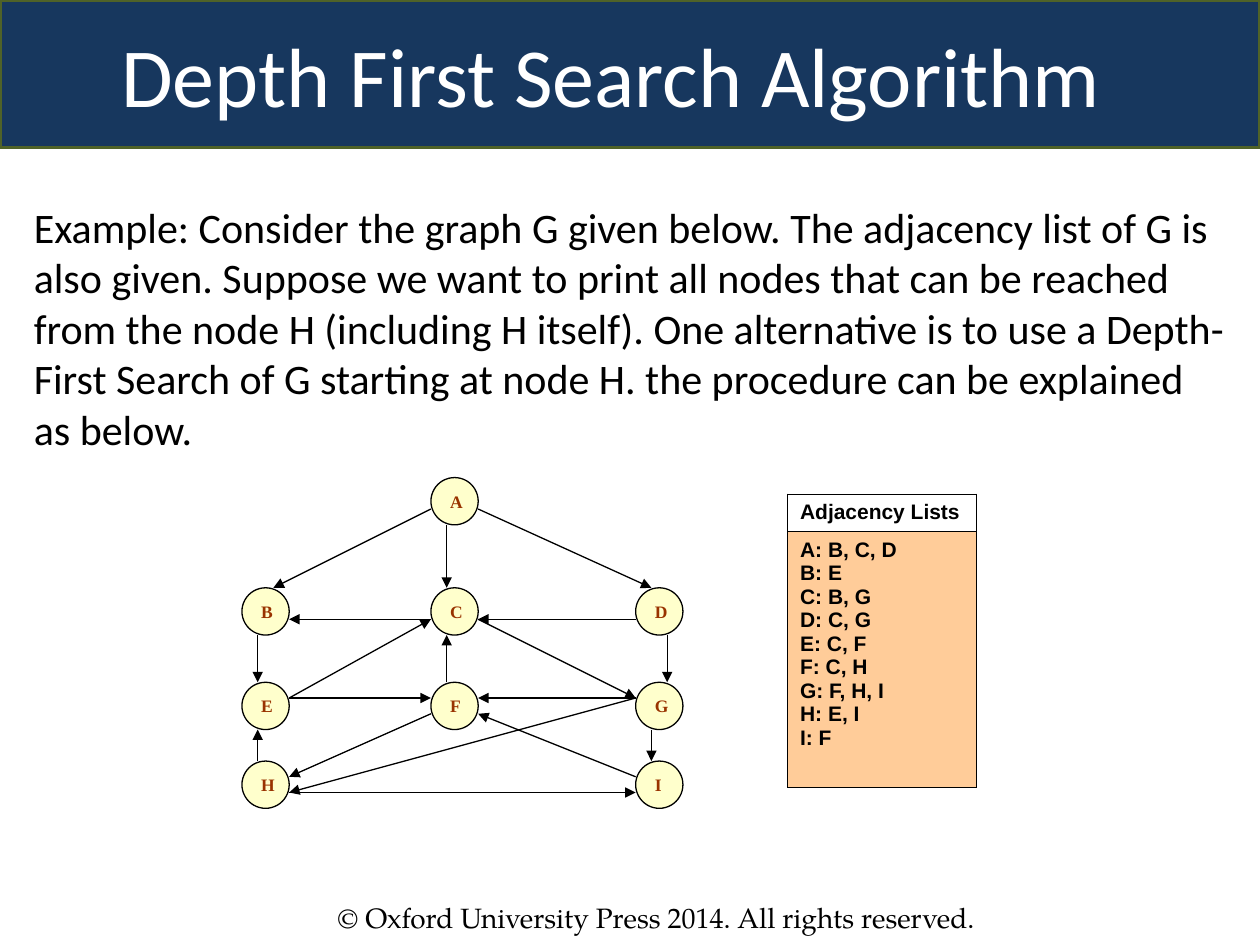
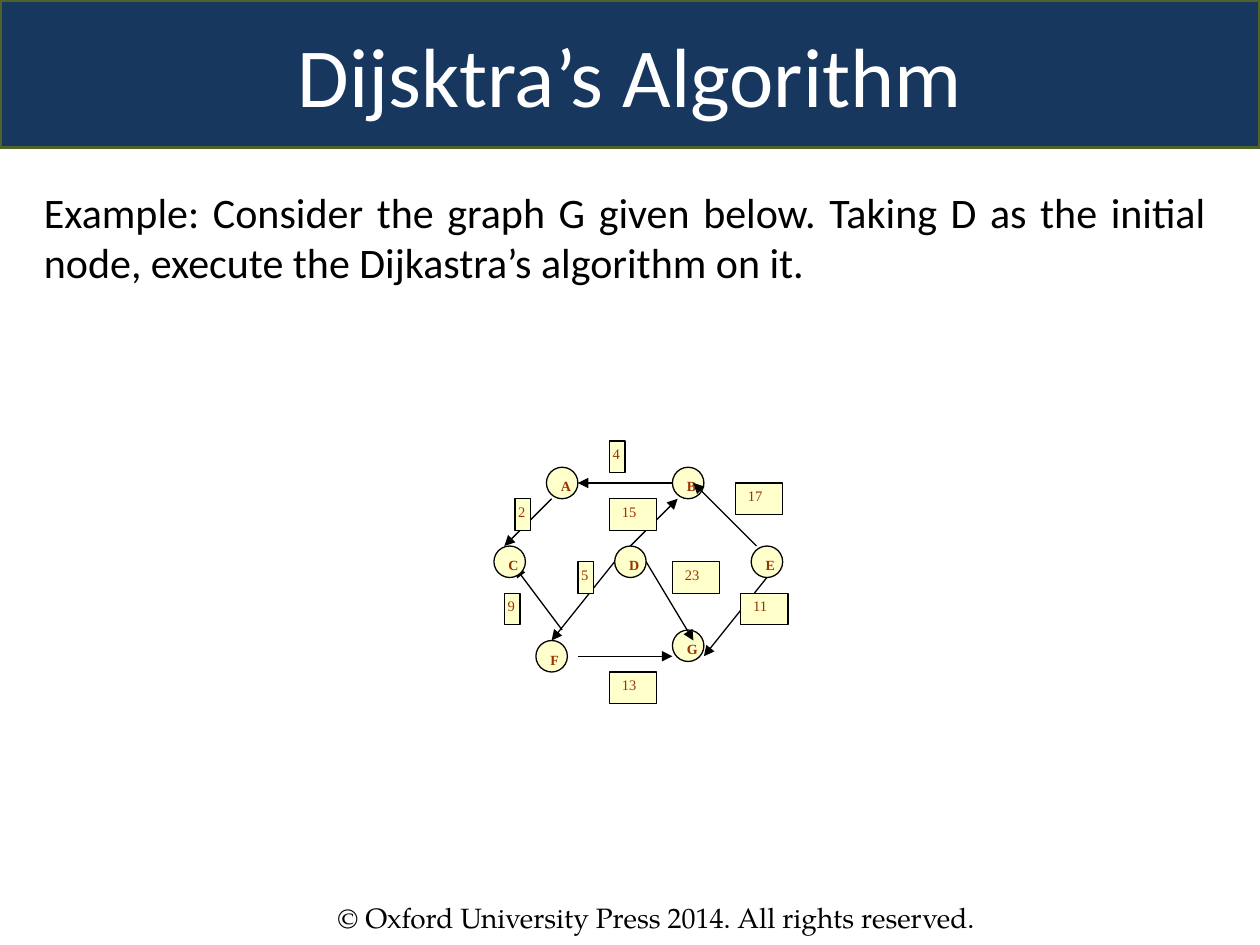
from collections import namedtuple

from lxml import etree
from pptx import Presentation
from pptx.dml.color import RGBColor
from pptx.enum.shapes import MSO_CONNECTOR, MSO_SHAPE
from pptx.enum.text import MSO_ANCHOR, MSO_AUTO_SIZE, PP_ALIGN
from pptx.oxml.ns import qn
from pptx.util import Inches, Pt

OVAL, RECT = MSO_SHAPE.OVAL, MSO_SHAPE.RECTANGLE
STRAIGHT = MSO_CONNECTOR.STRAIGHT
TOP, MIDDLE = MSO_ANCHOR.TOP, MSO_ANCHOR.MIDDLE
LEFT, CENTER, JUSTIFY = PP_ALIGN.LEFT, PP_ALIGN.CENTER, PP_ALIGN.JUSTIFY
NO_AUTOFIT = MSO_AUTO_SIZE.NONE

WIDTH, HEIGHT = 10, 7.5
TITLE_ONLY = 5
NAVY, OLIVE, WHITE, BLACK = "17375E", "4F6228", "FFFFFF", "000000"
CREAM, BROWN, PEACH = "FFFFCC", "993300", "FFCC99"
SANS, SERIF, TABLE_FONT, FOOTER_FONT = (
    "Calibri", "Times New Roman", "Arial", "TeX Gyre Pagella")
FOOTER = "© Oxford University Press 2014. All rights reserved."

Grid = namedtuple("Grid", "left top step")

DFS_GRID = Grid(1.92, 3.79, 1 / 8)
DFS_NODES = {
    "A": (12, 0), "B": (0, 7), "C": (12, 7), "D": (25, 7), "E": (0, 13),
    "F": (12, 13), "G": (25, 13), "H": (0, 18), "I": (25, 18),
}
DFS_EDGES = [
    (12, 2, 2, 7), (13, 3, 13, 7), (15, 2, 26, 7),
    (1, 10, 1, 13), (12, 9, 3, 9), (13, 13, 13, 10),
    (27, 10, 27, 13), (3, 14, 12, 9), (15, 9, 25, 14),
    (3, 14, 12, 14), (25, 14, 15, 14), (3, 20, 25, 20),
    (1, 18, 1, 16), (26, 16, 26, 18), (25, 14, 3, 20),
    (25, 19, 15, 15), (12, 15, 3, 19), (25, 9, 15, 9),
]
ADJACENCY = [
    "A: B, C, D", "B: E", "C: B, G", "D: C, G", "E: C, F",
    "F: C, H", "G: F, H, I", "H: E, I", "I: F",
]

PATH_GRID = Grid(3.92, 3.5, 1 / 24)
PATH_NODES = {
    "A": (10, 5), "B": (34, 5), "D": (23, 20), "E": (49, 20),
    "F": (8, 38), "G": (34, 36),
}
FRONT_NODES = {"C": (0, 20)}
PATH_EDGES = [
    (16, 41, 34, 41), (52, 26, 40, 41), (50, 20, 38, 8),
    (34, 8, 16, 8), (11, 11, 2, 20), (13, 36, 4, 24),
    (23, 23, 11, 38), (26, 20, 35, 11), (29, 23, 38, 38),
]
WEIGHTS = {
    "4": (22, 0), "2": (4, 11), "9": (2, 29), "15": (22, 11), "5": (16, 23),
    "17": (46, 8), "23": (34, 23), "11": (47, 29), "13": (22, 44),
}


def rgb(color):
    """Turn a hex string into a colour."""
    return RGBColor.from_string(color)


def write(tf, text, font, size, color, bold=False, align=LEFT, anchor=TOP,
          spacing=None):
    """Fill a text frame and format all its runs."""
    tf.text = text
    tf.word_wrap = True
    tf.vertical_anchor = anchor
    for p in tf.paragraphs:
        p.alignment = align
        p.line_spacing = spacing
        for r in p.runs:
            r.font.name, r.font.size, r.font.bold = font, Pt(size), bold
            r.font.color.rgb = rgb(color)


def paint(sp, fill, line, weight):
    """Set the fill and the outline of a shape."""
    sp.fill.solid()
    sp.fill.fore_color.rgb = rgb(fill)
    sp.line.color.rgb = rgb(line)
    sp.line.width = Pt(weight)


def add_text(s, left, top, width, height, text, font, size, **style):
    """Add a text box in black."""
    box = s.shapes.add_textbox(*map(Inches, (left, top, width, height)))
    write(box.text_frame, text, font, size, BLACK, **style)


def add_slide(prs, title, right_inset=0.1):
    """Add a slide with the title band and the footer."""
    s = prs.slides.add_slide(prs.slide_layouts[TITLE_ONLY])
    sp = s.shapes.title
    sp.left, sp.top = 0, 0
    sp.width, sp.height = Inches(WIDTH), Inches(1.17)
    paint(sp, NAVY, OLIVE, 2)
    tf = sp.text_frame
    tf.auto_size = NO_AUTOFIT
    tf.margin_right = Inches(right_inset)
    write(tf, title, SANS, 48, WHITE, align=CENTER, anchor=MIDDLE)
    add_text(s, 2.58, 7.1, 5.92, 0.37, FOOTER, FOOTER_FONT, 16)
    return s


def place(grid, col, row):
    """Turn a grid point into a position on the slide."""
    return (Inches(grid.left + col * grid.step),
            Inches(grid.top + row * grid.step))


def add_label(s, grid, kind, at, cols, rows, text, size, **style):
    """Add a cream shape with a short brown text."""
    sp = s.shapes.add_shape(kind, *place(grid, *at),
                            Inches(cols * grid.step), Inches(rows * grid.step))
    sp.shadow.inherit = False
    paint(sp, CREAM, BLACK, 0.75)
    write(sp.text_frame, text, SERIF, size, BROWN, **style)


def add_nodes(s, grid, nodes, span, size):
    """Add the round nodes of a graph."""
    for name, at in nodes.items():
        add_label(s, grid, OVAL, at, span, span, name, size, bold=True)


def add_edges(s, grid, edges):
    """Add the arrows of a graph."""
    for x1, y1, x2, y2 in edges:
        c = s.shapes.add_connector(
            STRAIGHT, *place(grid, x1, y1), *place(grid, x2, y2))
        c.line.color.rgb = rgb(BLACK)
        c.line.width = Pt(0.75)
        props = c._element.spPr
        etree.SubElement(props.find(qn("a:ln")), qn("a:tailEnd"),
                         type="triangle")
        etree.SubElement(props, qn("a:effectLst"))


def add_borders(cell):
    """Draw a thin black line on each side of a cell."""
    props = cell._tc.get_or_add_tcPr()
    for side in "LRTB":
        ln = etree.SubElement(props, qn(f"a:ln{side}"), w=str(Pt(0.45)))
        fill = etree.SubElement(ln, qn("a:solidFill"))
        etree.SubElement(fill, qn("a:srgbClr"), val=BLACK)


def add_adjacency_table(s):
    """Add the adjacency lists under their heading."""
    heights = (0.3, 2.03)
    table = s.shapes.add_table(2, 1, Inches(6.25), Inches(3.92),
                               Inches(1.5), Inches(sum(heights))).table
    table.first_row = table.horz_banding = False
    for i, text in enumerate(("Adjacency Lists", "\n".join(ADJACENCY))):
        table.rows[i].height = Inches(heights[i])
        cell = table.cell(i, 0)
        add_borders(cell)
        write(cell.text_frame, text, TABLE_FONT, 12, BLACK, bold=True)
    table.cell(0, 0).fill.background()
    body = table.cell(1, 0).fill
    body.solid()
    body.fore_color.rgb = rgb(PEACH)


def build_depth_first(prs):
    """Build the slide on depth-first search."""
    s = add_slide(prs, "Depth First Search Algorithm", right_inset=0.4)
    add_text(s, 0.17, 1.55, 9.67, 2.1,
             "Example: Consider the graph G given below. The adjacency list "
             "of G is also given. Suppose we want to print all nodes that can "
             "be reached from the node H (including H itself). One "
             "alternative is to use a Depth- First Search of G starting at "
             "node H. the procedure can be explained as below.", SANS, 24)
    add_nodes(s, DFS_GRID, DFS_NODES, 3, 10)
    add_edges(s, DFS_GRID, DFS_EDGES)
    add_adjacency_table(s)


def build_shortest_path(prs):
    """Build the slide on the weighted graph."""
    s = add_slide(prs, "Dijsktra’s Algorithm")
    add_text(s, 0.25, 1.43, 9.42, 0.9,
             "Example: Consider the graph G given below. Taking D as the "
             "initial node, execute the Dijkastra’s algorithm on it.",
             SANS, 24, align=JUSTIFY, anchor=MIDDLE)
    add_nodes(s, PATH_GRID, PATH_NODES, 6, 8)
    add_edges(s, PATH_GRID, PATH_EDGES)
    for weight, at in WEIGHTS.items():
        cols = 3 if len(weight) == 1 else 9
        add_label(s, PATH_GRID, RECT, at, cols, 6, weight, 8.3, spacing=0.9)
    add_nodes(s, PATH_GRID, FRONT_NODES, 6, 8)


def main():
    """Build and save the slides."""
    prs = Presentation()
    prs.slide_width, prs.slide_height = Inches(WIDTH), Inches(HEIGHT)
    build_depth_first(prs)
    build_shortest_path(prs)
    prs.save("out.pptx")


if __name__ == "__main__":
    main()
